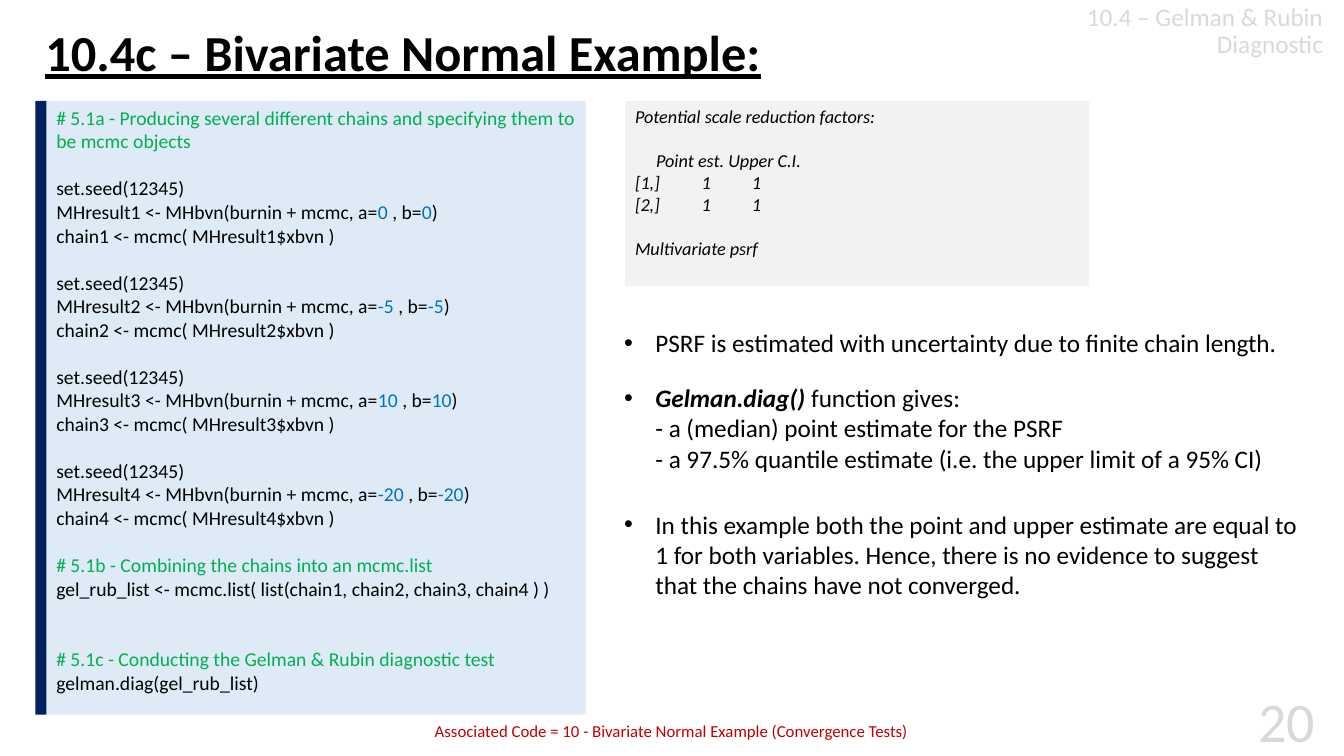
from lxml import etree
from pptx import Presentation, util as u
from pptx.dml.color import RGBColor
from pptx.enum import shapes, text
from pptx.oxml.ns import qn

# Content: each paragraph is (space before in points, [(text, format), ...])
BLACK, GREEN, BLUE, GREY = "000000", "00B050", "0070C0", "D9D9D9"
TITLE = "10.4c – Bivariate Normal Example:"
TOPIC = "10.4 – Gelman & Rubin Diagnostic"
SOURCE = "Associated Code = 10 - Bivariate Normal Example (Convergence Tests)"
PAGE = "20"
STARTS = ["0", "-5", "10", "-20"]
LINE = 16.8  # one line of code, in points
note, num = {"color": GREEN}, {"color": BLUE}

code = [(0, [("# 5.1a - Producing several different chains and specifying "
              "them to be mcmc objects", note)])]
for n, start in enumerate(STARTS, 1):
    code += [
        (LINE, [("set.seed(12345)", {})]),
        (0, [(f"MHresult{n} <- MHbvn(burnin + mcmc, a=", {}), (start, num),
             (" , b=", {}), (start, num), (")", {})]),
        (0, [(f"chain{n} <- mcmc( MHresult{n}$xbvn )", {})]),
    ]
code += [
    (LINE, [("# 5.1b - Combining the chains into an mcmc.list", note)]),
    (0, [("gel_rub_list <- mcmc.list( list(chain1, chain2, chain3, chain4 ) )", {})]),
    (2 * LINE, [("# 5.1c - Conducting the Gelman & Rubin diagnostic test", note)]),
    (0, [("gelman.diag(gel_rub_list)", {})]),
]
result = [
    (0, [("Potential scale reduction factors:", {})]),
    (15.6, [("\tPoint est. Upper C.I.", {})]),
    (0, [("[1,]\t1\t1", {})]),
    (0, [("[2,]\t1\t1", {})]),
    (15.6, [("Multivariate psrf", {})]),
]
points = [
    (0, [("PSRF is estimated with uncertainty due to finite chain length.", {})]),
    (17.6, [("Gelman.diag()", {"bold": True, "italic": True}),
            (" function gives:\n- a (median) point estimate for the PSRF\n"
             "- a 97.5% quantile estimate (i.e. the upper limit of a 95% CI)", {})]),
    (25.5, [("In this example both the point and upper estimate are equal to 1 "
             "for both variables. Hence, there is no evidence to suggest that "
             "the chains have not converged.", {})]),
]

deck = Presentation()
deck.slide_width, deck.slide_height = u.Inches(13.33), u.Inches(7.5)
slide = deck.slides.add_slide(deck.slide_layouts[1])


def rgb(code):
    return RGBColor.from_string(code)


def place(shape, *box):
    shape.left, shape.top, shape.width, shape.height = map(u.Inches, box)
    return shape


def write(shape, paras, size=18, color=BLACK, bold=False, italic=False,
          under=False, align="LEFT", anchor="TOP", space=1.0, bullet=False, tabs=()):
    """Fill a shape with a string or with a list of (gap, runs)."""
    frame = shape.text_frame
    frame.word_wrap = True
    frame.auto_size = text.MSO_AUTO_SIZE.NONE
    frame.vertical_anchor = text.MSO_ANCHOR[anchor]
    if isinstance(paras, str):
        paras = [(0, [(paras, {})])]
    for i, (gap, runs) in enumerate(paras):
        para = frame.add_paragraph() if i else frame.paragraphs[0]
        props = para._p.get_or_add_pPr()
        if bullet:
            props.set("marL", str(u.Inches(0.31)))
            props.set("indent", str(-u.Inches(0.31)))
            etree.SubElement(props, qn("a:buFont"), typeface="Arial")
            etree.SubElement(props, qn("a:buChar"), char="•")
        stops = tabs[:1] if runs[0][0].startswith("\t") else tabs[1:]
        if stops:
            row = etree.SubElement(props, qn("a:tabLst"))
            for stop in stops:
                etree.SubElement(row, qn("a:tab"), pos=str(u.Inches(stop)), algn="l")
        para.alignment = text.PP_ALIGN[align]
        para.line_spacing = space
        para.space_before, para.space_after = u.Pt(gap), u.Pt(0)
        for words, look in runs:
            for k, part in enumerate(words.split("\n")):
                if k:
                    para.add_line_break()
                run = para.add_run()
                run.text = part
                font = run.font
                font.name, font.size = "Calibri", u.Pt(size)
                font.bold = look.get("bold", bold)
                font.italic = look.get("italic", italic)
                font.underline = under
                font.color.rgb = rgb(look.get("color", color))


def panel(fill, *box):
    shape = slide.shapes.add_shape(shapes.MSO_SHAPE.RECTANGLE, *map(u.Inches, box))
    shape.shadow.inherit = False
    shape.fill.solid()
    shape.fill.fore_color.rgb = rgb(fill)
    shape.line.fill.background()
    return shape


def label(words, *box, **look):
    write(slide.shapes.add_textbox(*map(u.Inches, box)), words, **look)


# Title and explanation
write(place(slide.shapes.title, 0.35, 0.22, 8.93, 0.66), TITLE, size=36,
      bold=True, under=True, anchor="MIDDLE", space=0.9)
write(place(slide.placeholders[1], 6.09, 3.2, 6.9, 2.87), points, bullet=True)

# Code panel with its dark edge, and the printed result
top, tall = 1, 6.09
write(panel("DEEBF7", 0.46, top, 5.35, tall), code, size=14)
panel("002060", 0.35, top, 0.11, tall)
write(panel("F2F2F2", 6.2, top, 4.6, 1.84), result, size=13, italic=True,
      tabs=(0.21, 0.66, 1.16))

# Running topic, source line and page number
label(TOPIC, 10.4, 0, 2.82, 0.65, color=GREY, align="RIGHT", space=0.9)
label(SOURCE, 2.56, 7.1, 8.2, 0.31, size=12, color="C00000", align="CENTER")
label(PAGE, 11.9, 6.76, 1.24, 0.76, size=40, color=GREY, align="RIGHT",
      anchor="MIDDLE")

deck.save("out.pptx")
